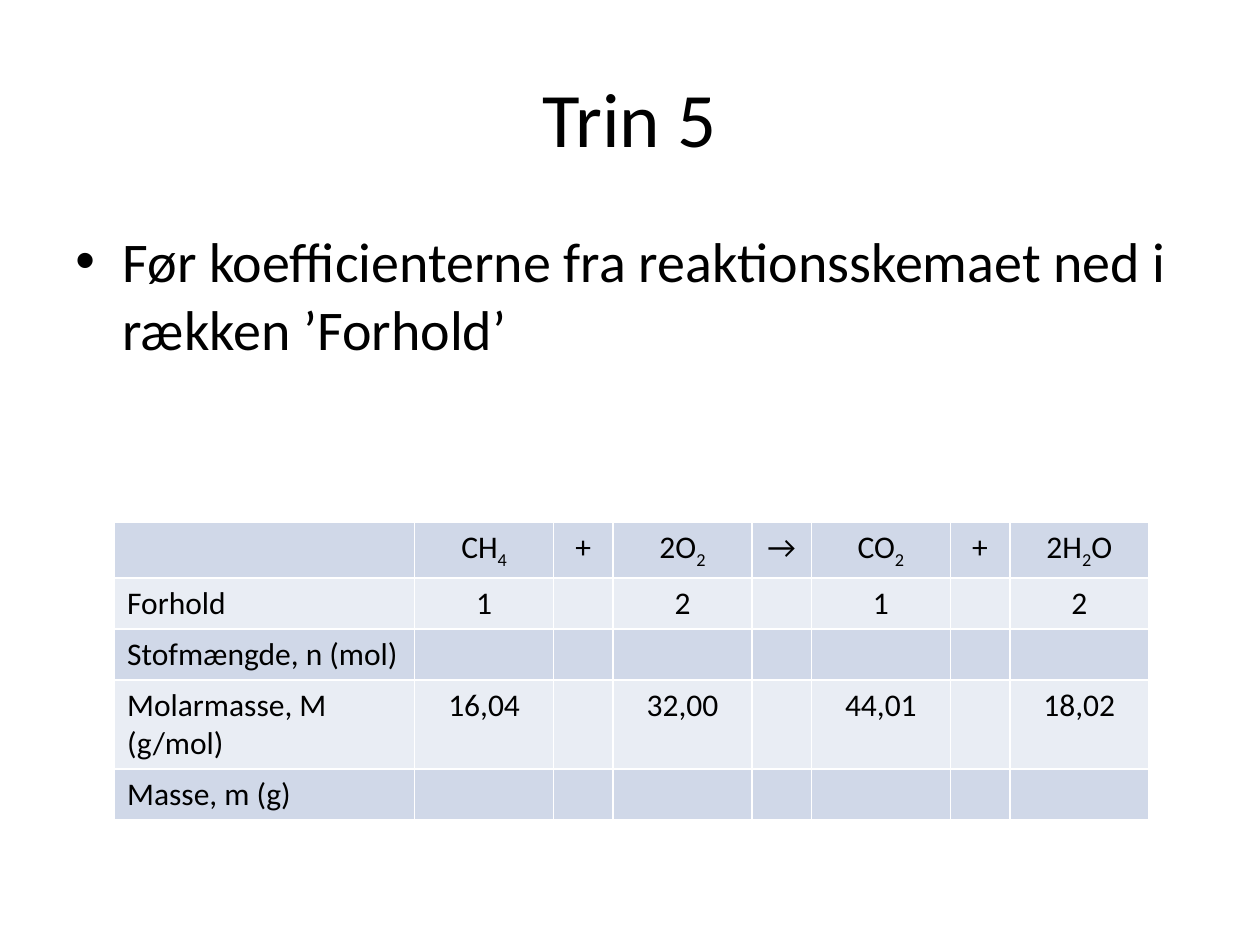
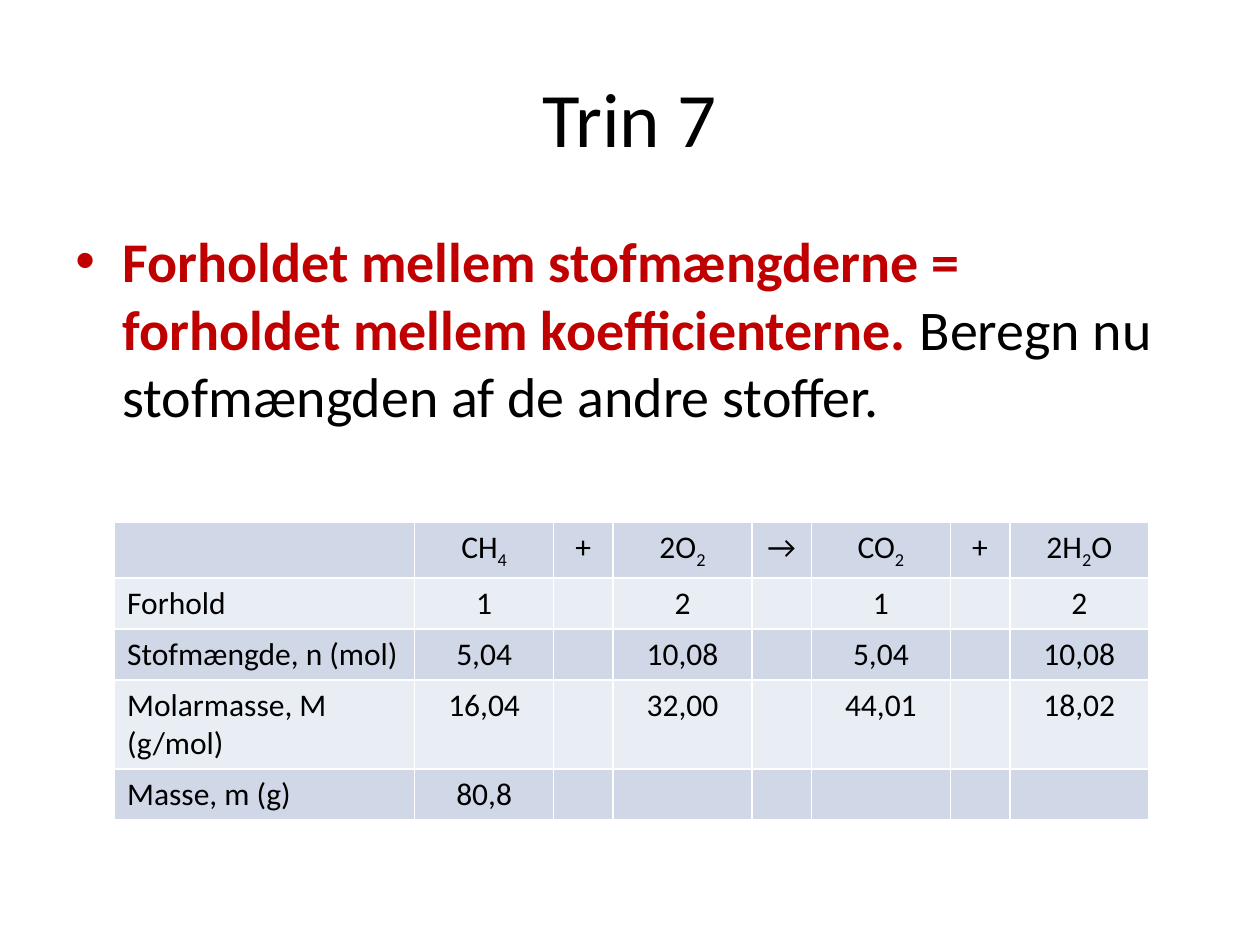
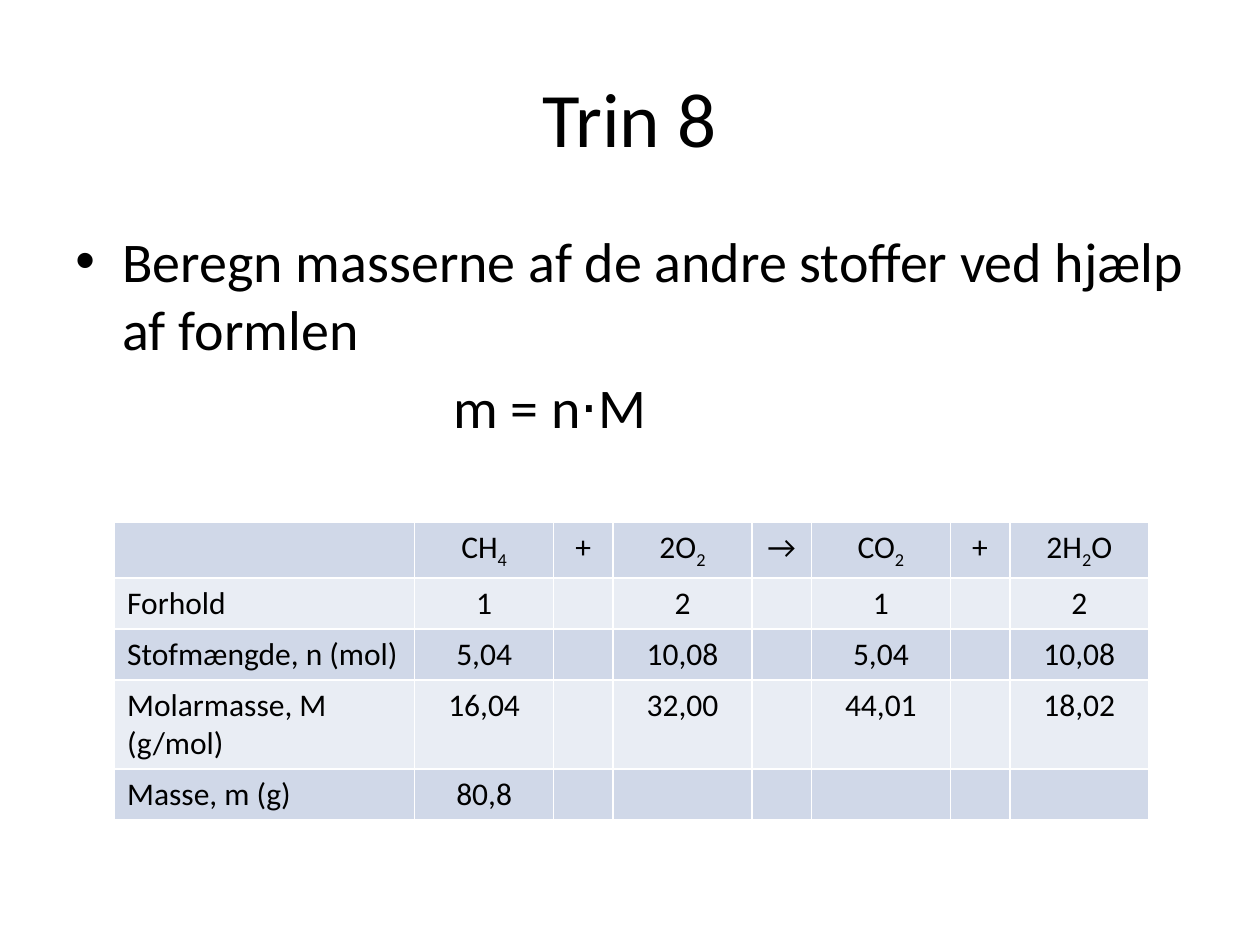
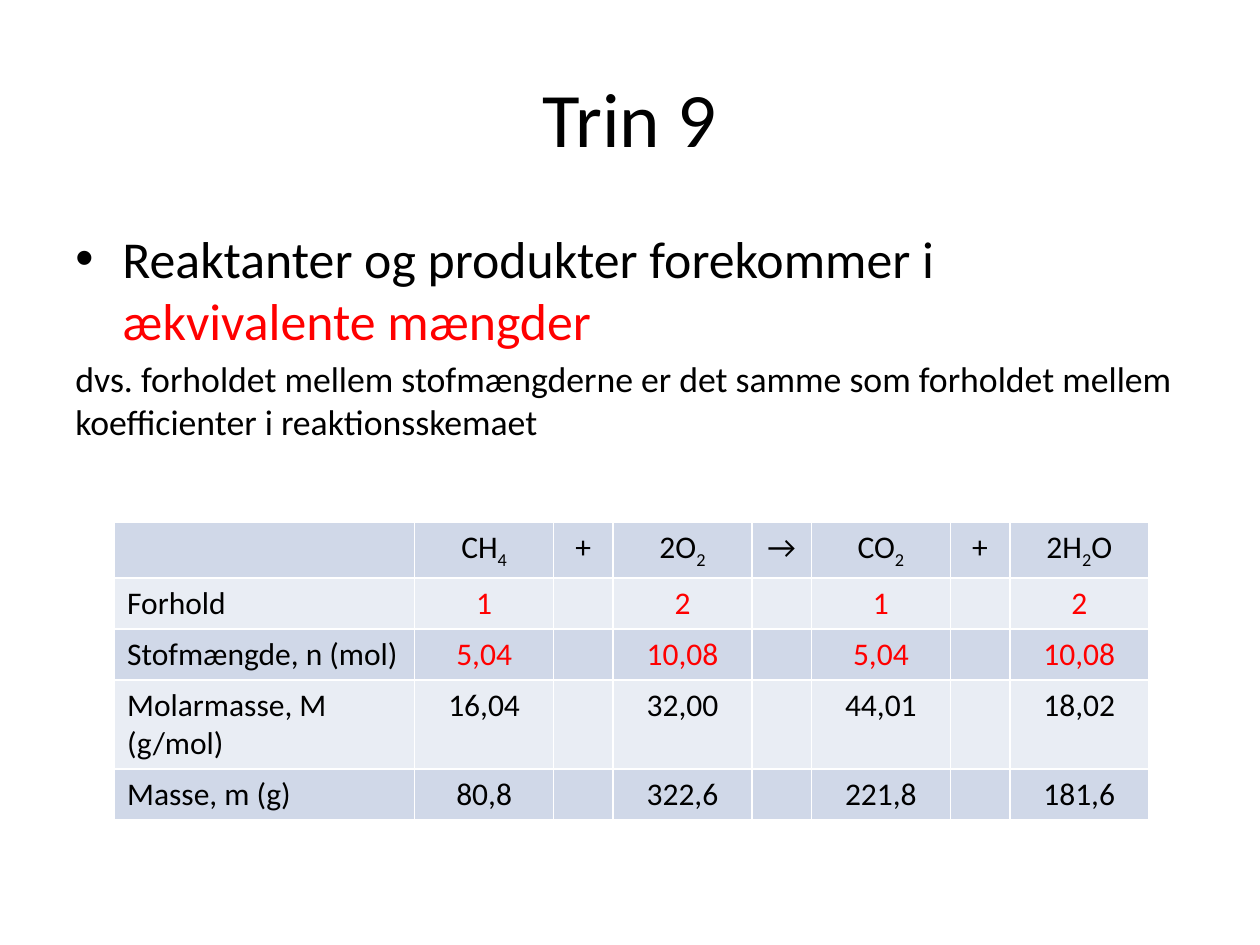
from collections import namedtuple

from lxml import etree
from pptx import Presentation
from pptx import util as u
from pptx.dml.color import RGBColor
from pptx.enum import text
from pptx.oxml import ns

Box = namedtuple("Box", "left top width height")

COLORS = {
    "ink": "000000",
    "rule": "C00000",
    "highlight": "FF0000",
    "band_dark": "D0D8E8",
    "band_light": "E9EDF4",
    "border": "FFFFFF",
}
FONT = "Calibri"
INDENT = 0.95

# Regions shared by all slides, in cm
TITLE_BOX = Box(1.27, 0.76, 22.86, 3.18)
BODY_BOX = Box(1.27, 4.45, 22.86, 12.57)
TABLE_BOX = Box(2.31, 10.53, 20.85, 5.97)

# Reaction table: odd parts of a formula are subscripts
REACTION = [(), ("CH", "4"), ("+",), ("2O", "2"), ("→",), ("CO", "2"), ("+",), ("2H", "2", "O")]
LABEL_WIDTH, SUBSTANCE_WIDTH, SIGN_WIDTH = 6.05, 2.8, 1.2
ROW_HEIGHTS = [1.09, 1.03, 1.03, 1.79, 1.03]
RATIOS = ["1", "2", "1", "2"]
AMOUNTS = ["5,04", "10,08", "5,04", "10,08"]
MOLAR_MASSES = ["16,04", "32,00", "44,01", "18,02"]
KNOWN_MASS = ["80,8"]
ALL_MASSES = ["80,8", "322,6", "221,8", "181,6"]


def add_run(paragraph, words, size, color="ink", bold=False, subscript=False):
    run = paragraph.add_run()
    run.text = words
    run.font.name = FONT
    run.font.size = u.Pt(size)
    run.font.bold = bold
    run.font.color.rgb = RGBColor.from_string(COLORS[color])
    if subscript:
        run._r.get_or_add_rPr().set("baseline", "-25000")


def add_frame(slide, box, anchor):
    frame = slide.shapes.add_textbox(*map(u.Cm, box)).text_frame
    frame.word_wrap = True
    frame.vertical_anchor = anchor
    return frame


def set_indent(paragraph, left, first=0):
    properties = paragraph._p.get_or_add_pPr()
    properties.set("marL", str(u.Cm(left)))
    properties.set("indent", str(u.Cm(first)))
    return properties


def add_title(slide, box, step):
    heading = add_frame(slide, box, text.MSO_ANCHOR.MIDDLE).paragraphs[0]
    heading.alignment = text.PP_ALIGN.CENTER
    add_run(heading, step, 44)


def add_body(slide, box, instruction, size=32, follow_up=None):
    """Bulleted instruction, then an optional plain line: (words, size, indent, space before)."""
    frame = add_frame(slide, box, text.MSO_ANCHOR.TOP)
    bullet = frame.paragraphs[0]
    properties = set_indent(bullet, INDENT, -INDENT)
    etree.SubElement(properties, ns.qn("a:buFont"), typeface="Arial")
    etree.SubElement(properties, ns.qn("a:buChar"), char="•")
    for words, color, bold in instruction:
        add_run(bullet, words, size, color, bold)
    if follow_up:
        words, line_size, left, space = follow_up
        line = frame.add_paragraph()
        set_indent(line, left)
        line.space_before = u.Pt(space)
        add_run(line, words, line_size)


def style_cell(cell, band):
    properties = cell._tc.get_or_add_tcPr()
    for side in ("lnL", "lnR", "lnT", "lnB"):
        line = etree.SubElement(properties, ns.qn(f"a:{side}"), w=str(u.Pt(1)))
        fill = etree.SubElement(line, ns.qn("a:solidFill"))
        etree.SubElement(fill, ns.qn("a:srgbClr"), val=COLORS["border"])
    cell.fill.solid()
    cell.fill.fore_color.rgb = RGBColor.from_string(COLORS[band])


def spread(label, values):
    """Put the values in the substance columns, leaving the sign columns empty."""
    row = [(label,)] + [()] * (len(REACTION) - 1)
    for index, value in enumerate(values):
        row[1 + 2 * index] = (value,)
    return row


def add_reaction_table(slide, box, amounts, masses, highlighted=()):
    rows = [
        REACTION,
        spread("Forhold", RATIOS),
        spread("Stofmængde, n (mol)", amounts),
        spread("Molarmasse, M (g/mol)", MOLAR_MASSES),
        spread("Masse, m (g)", masses),
    ]
    table = slide.shapes.add_table(len(rows), len(REACTION), *map(u.Cm, box)).table
    table.first_row = table.horz_banding = False

    # Grid
    for index, column in enumerate(table.columns):
        width = SUBSTANCE_WIDTH if index % 2 else SIGN_WIDTH
        column.width = u.Cm(width if index else LABEL_WIDTH)
    for row, height in zip(table.rows, ROW_HEIGHTS):
        row.height = u.Cm(height)

    # Cells
    for r, row in enumerate(rows):
        for c, parts in enumerate(row):
            cell = table.cell(r, c)
            style_cell(cell, "band_light" if r % 2 else "band_dark")
            entry = cell.text_frame.paragraphs[0]
            if c:
                entry.alignment = text.PP_ALIGN.CENTER
            color = "highlight" if c and r in highlighted else "ink"
            for index, part in enumerate(parts):
                add_run(entry, part, 18, color, subscript=index % 2 == 1)


def add_step(deck, step, body, table):
    slide = deck.slides.add_slide(deck.slide_layouts[6])
    add_title(slide, TITLE_BOX, step)
    add_body(slide, BODY_BOX, **body)
    add_reaction_table(slide, TABLE_BOX, **table)


STEPS = [
    ("Trin 5",
     {"instruction": [("Før koefficienterne fra reaktionsskemaet ned i rækken ’Forhold’", "ink", False)]},
     {"amounts": [], "masses": []}),
    ("Trin 7",
     {"instruction": [
         ("Forholdet mellem stofmængderne = forholdet mellem koefficienterne. ", "rule", True),
         ("Beregn nu stofmængden af de andre stoffer.", "ink", False)]},
     {"amounts": AMOUNTS, "masses": KNOWN_MASS}),
    ("Trin 8",
     {"instruction": [("Beregn masserne af de andre stoffer ved hjælp af formlen", "ink", False)],
      "follow_up": ("m = n⋅M", 32, 7.62, 6.4)},
     {"amounts": AMOUNTS, "masses": KNOWN_MASS}),
    ("Trin 9",
     {"instruction": [
         ("Reaktanter og produkter forekommer i ", "ink", False),
         ("ækvivalente mængder", "highlight", False)],
      "size": 29.6,
      "follow_up": ("dvs. forholdet mellem stofmængderne er det samme som forholdet mellem "
                    "koefficienter i reaktionsskemaet", 20.4, 0, 3.3)},
     {"amounts": AMOUNTS, "masses": ALL_MASSES, "highlighted": (1, 2)}),
]


def main():
    deck = Presentation()
    deck.slide_width, deck.slide_height = u.Cm(25.4), u.Cm(19.05)
    for step, body, table in STEPS:
        add_step(deck, step, body, table)
    deck.save("out.pptx")


if __name__ == "__main__":
    main()
